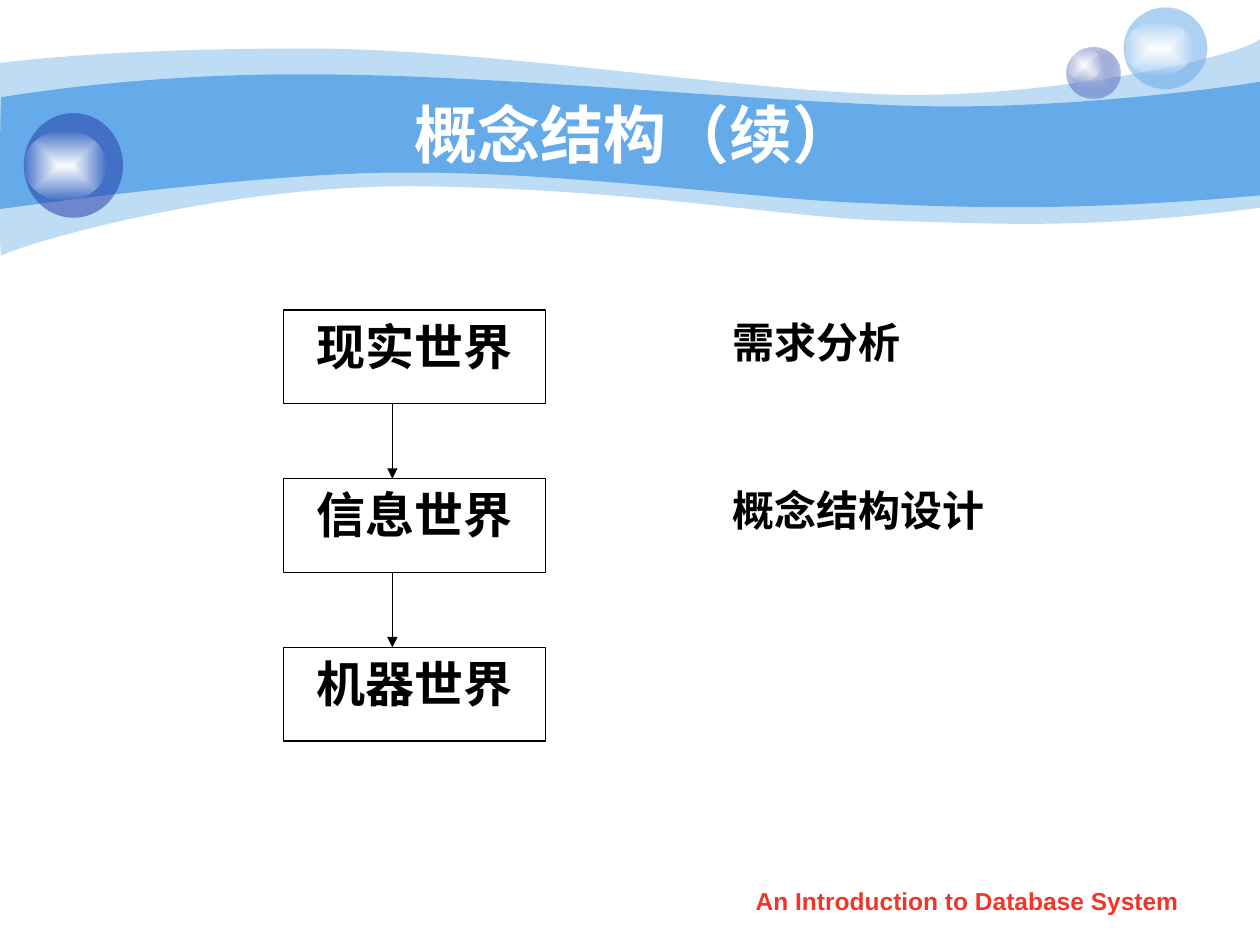
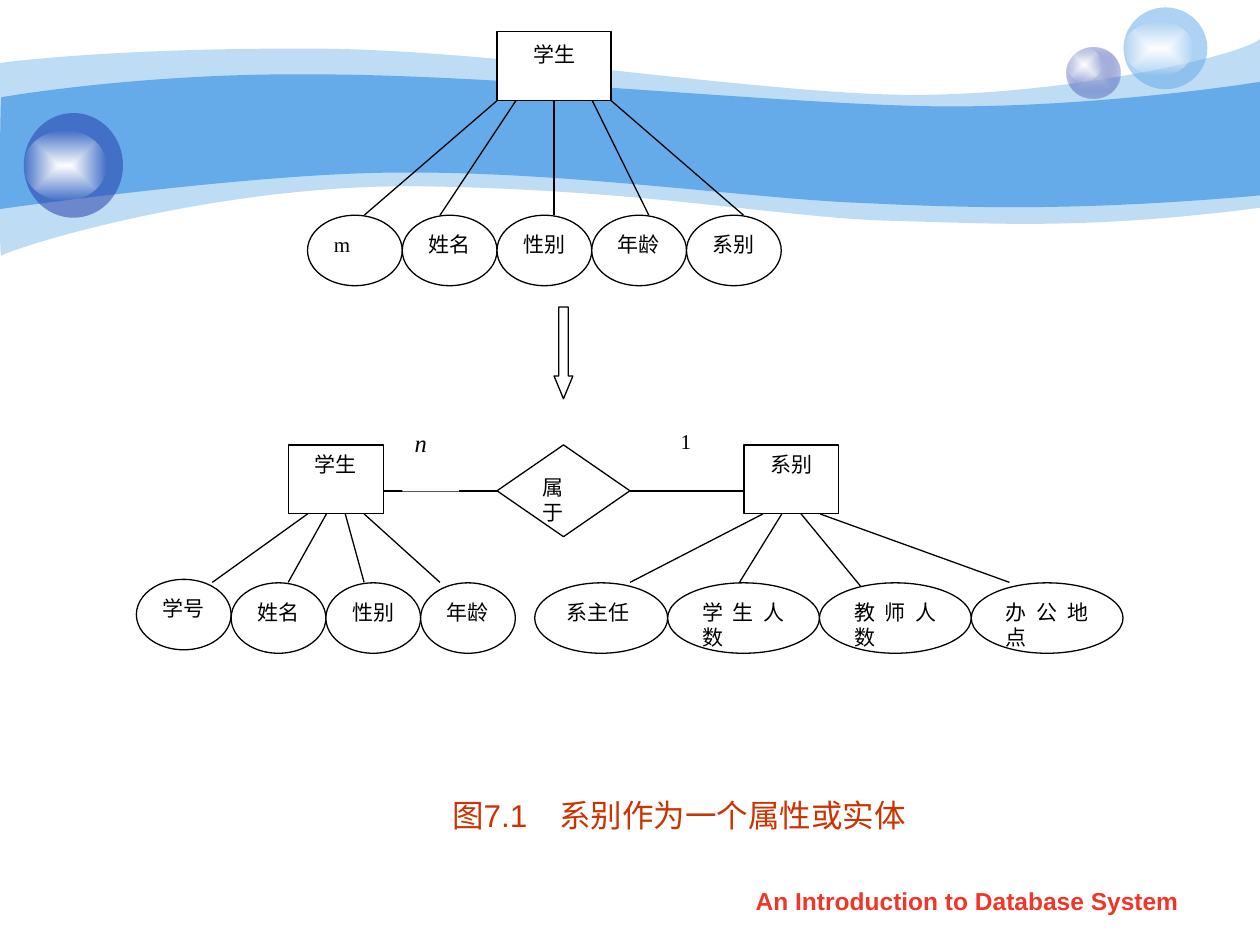
from lxml import etree
from pptx import Presentation
from pptx.dml.color import RGBColor
from pptx.enum.shapes import MSO_CONNECTOR, MSO_SHAPE
from pptx.enum.text import MSO_ANCHOR, MSO_AUTO_SIZE, PP_ALIGN
from pptx.oxml import parse_xml
from pptx.oxml.ns import nsdecls, qn
from pptx.util import Cm, Pt

STRAIGHT = MSO_CONNECTOR.STRAIGHT
RECT, OVAL = MSO_SHAPE.RECTANGLE, MSO_SHAPE.OVAL
DIAMOND, DOWN_ARROW = MSO_SHAPE.DIAMOND, MSO_SHAPE.DOWN_ARROW
TOP, MIDDLE = MSO_ANCHOR.TOP, MSO_ANCHOR.MIDDLE
CENTER, JUSTIFY = PP_ALIGN.CENTER, PP_ALIGN.JUSTIFY

SANS, SERIF = "Arial", "Times New Roman"
BLACK, WHITE, SKY, NAVY = "000000", "FFFFFF", "65AAE9", "233DA9"
RED, RUST, LILAC = "F03628", "CC3300", "C7CEE9"

# ---- Content; all places are in cm: left, top, width, height ----
FOOTER = "An Introduction to Database System"
TITLE = "概念结构（续）"
WORLDS = ["现实世界", "信息世界", "机器世界"]
STAGES = [("需求分析", 4.85), ("概念结构设计", 7.5)]
CAPTION = "图7.1　系别作为一个属性或实体"

# Each entity: box, attribute row (label, width), links (from x, to x, to y)
ENTITIES = [
    {"label": "学生", "box": (10.02, 0.63, 2.3, 1.4), "text_top": 0.21,
     "row": (6.2, 4.34), "first_lift": 0,
     "attributes": [("m", 1.91), ("姓名", 1.91), ("性别", 1.91),
                    ("年龄", 1.91), ("系别", 1.91)],
     "links": [(10.02, 7.34, 4.34), (10.4, 8.87, 4.34), (11.17, 11.17, 4.34),
               (11.94, 13.08, 4.34), (12.32, 14.99, 4.34)]},
    {"label": "学生", "box": (5.81, 8.97, 1.92, 1.39), "text_top": 0.13,
     "row": (2.75, 11.75), "first_lift": 0.07,
     "attributes": [("学号", 1.91), ("姓名", 1.91), ("性别", 1.91),
                    ("年龄", 1.91)],
     "links": [(6.2, 4.28, 11.74), (6.58, 5.81, 11.74),
               (6.96, 7.34, 11.74), (7.34, 8.87, 11.74)]},
    {"label": "系别", "box": (15, 8.97, 1.91, 1.39), "text_top": 0.13,
     "row": (10.78, 11.75), "first_lift": 0,
     "attributes": [("系主任", 2.68), ("学生人数", 3.06), ("教师人数", 3.06),
                    ("办公地点", 3.06)],
     "links": [(15.38, 12.7, 11.74), (15.76, 14.61, 12.22),
               (16.15, 17.68, 12.22), (16.53, 20.35, 11.74)]},
]
ATTRIBUTE_HEIGHT = 1.42
RELATION = ("属于", (10.02, 8.97, 2.68, 1.85))
RELATION_Y = 9.9
# Cardinality: label, box, size, italic, line from x, line to x
MANY = ("n", (8.11, 8.51, 1.14, 1.4), 14, True, 7.73, 10.02)
ONE = ("1", (13.47, 8.51, 1.14, 1.85), 12, False, 12.7, 15)

# Wave bands: opacity, then corner points (2 numbers) and curves (6 numbers)
WAVES = [
    (41, [(0, 1.27), (0.61, 1.19, 2.72, 0.97, 6.27, 0.98),
          (9.8, 0.99, 14.6, 1.78, 17.75, 1.9),
          (20.88, 2.03, 24.89, 1.19, 25.4, 0.79), (25.4, 4.19),
          (21.79, 4.65, 19.99, 4.5, 17.91, 4.45),
          (15.8, 4.39, 13.08, 3.84, 8.71, 3.76),
          (4.37, 3.66, 0.1, 5.05, 0.03, 5.16),
          (-0.03, 5.28, 0, 1.9, 0, 1.27)]),
    (100, [(0.03, 1.96), (0.05, 1.96, 2.79, 1.47, 6.3, 1.5),
           (9.8, 1.5, 15.11, 2.03, 18.24, 2.13),
           (21.36, 2.24, 24.79, 1.75, 25.4, 1.65), (25.4, 3.94),
           (21.67, 4.27, 19.43, 4.19, 17.32, 4.09),
           (15.21, 4.01, 11.35, 3.45, 8.05, 3.48),
           (5.16, 3.48, -0.05, 4.22, -0.03, 4.22),
           (0, 4.22, 0, 1.96, 0.03, 1.96)]),
]
# Orbs: box, then the glow colours (colour, opacity) from centre to rim
GLOSS = [(WHITE, 100), (WHITE, 0)]
ORBS = [
    ((21.5, 0.95, 1.08, 1.04), [(LILAC, 100), (NAVY, 31)]),
    ((21.5, 0.95, 0.71, 0.69), GLOSS),
    ((22.65, 0.15, 1.69, 1.65), [(SKY, 53)]),
    ((22.65, 0.43, 1.41, 1.09), GLOSS),
    ((0.48, 2.28, 2, 2.11), [(NAVY, 53)]),
    ((0.48, 2.63, 1.67, 1.42), GLOSS),
]


# ---- Helpers ----
def rgb(color):
    return RGBColor.from_string(color)


def cms(values):
    return [Cm(value) for value in values]


def paint(shape, color, opacity=100):
    shape.fill.solid()
    shape.fill.fore_color.rgb = rgb(color)
    if opacity < 100:
        srgb = shape.element.spPr.find(qn("a:solidFill")).find(qn("a:srgbClr"))
        etree.SubElement(srgb, qn("a:alpha")).set("val", str(opacity * 1000))


def paint_glow(shape, center, rim):
    stops = "".join(
        f'<a:gs pos="{pos}"><a:srgbClr val="{color}">'
        f'<a:alpha val="{opacity * 1000}"/></a:srgbClr></a:gs>'
        for pos, (color, opacity) in ((0, center), (100000, rim)))
    glow = parse_xml(
        f'<a:gradFill {nsdecls("a")} rotWithShape="1"><a:gsLst>{stops}</a:gsLst>'
        '<a:path path="rect"><a:fillToRect l="50000" t="50000" r="50000" '
        'b="50000"/></a:path></a:gradFill>')
    shape.element.spPr.find(qn("a:prstGeom")).addnext(glow)


def write(shape, text, size, color=BLACK, font=SERIF, bold=False, italic=False,
          align=CENTER, anchor=TOP):
    frame = shape.text_frame
    frame.text = text
    frame.word_wrap = True
    frame.auto_size = MSO_AUTO_SIZE.NONE
    frame.vertical_anchor = anchor
    paragraph = frame.paragraphs[0]
    paragraph.alignment = align
    style = paragraph.runs[0].font
    style.name, style.size, style.color.rgb = font, Pt(size), rgb(color)
    style.bold, style.italic = bold, italic
    return paragraph


def place(shape, box):
    shape.left, shape.top, shape.width, shape.height = cms(box)


def add_node(slide, kind, box, fill=WHITE, outlined=True):
    node = slide.shapes.add_shape(kind, *cms(box))
    node.shadow.inherit = False
    if fill:
        paint(node, fill)
    else:
        node.fill.background()
    if outlined:
        node.line.color.rgb = rgb(BLACK)
        node.line.width = Pt(0.75)
    else:
        node.line.fill.background()
    return node


def add_link(slide, x1, y1, x2, y2, arrow=False):
    link = slide.shapes.add_connector(STRAIGHT, *cms((x1, y1, x2, y2)))
    link.line.color.rgb = rgb(BLACK)
    link.line.width = Pt(0.75)
    if arrow:
        etree.SubElement(link.element.spPr.find(qn("a:ln")), qn("a:tailEnd")).set(
            "type", "triangle")
    etree.SubElement(link.element.spPr, qn("a:effectLst"))


def add_wave(slide, steps, opacity):
    """Build the control polygon, then join each curve's three lines into one."""
    start, *rest = [cms(step[i:i + 2]) for step in steps
                    for i in range(0, len(step), 2)]
    builder = slide.shapes.build_freeform(*start, scale=1.0)
    builder.add_line_segments(rest, close=True)
    wave = builder.convert_to_shape()
    lines = iter(list(wave.element.spPr.iter(qn("a:lnTo"))))
    for step in steps[1:]:
        first = next(lines)
        if len(step) == 6:
            curve = etree.Element(qn("a:cubicBezTo"))
            first.addprevious(curve)
            for line in (first, next(lines), next(lines)):
                curve.append(line[0])
                line.getparent().remove(line)
    wave.shadow.inherit = False
    wave.line.fill.background()
    paint(wave, SKY, opacity)
    return wave


# ---- Shared parts ----
def add_backdrop(slide):
    """Draw the waves and orbs, then hand them to the slide master."""
    parts = [add_wave(slide, steps, opacity) for opacity, steps in WAVES]
    for box, colors in ORBS:
        orb = add_node(slide, OVAL, box, fill=None, outlined=False)
        if len(colors) == 1:
            paint(orb, *colors[0])
        else:
            orb.element.spPr.remove(orb.element.spPr.find(qn("a:noFill")))
            paint_glow(orb, *colors)
        parts.append(orb)
    master_tree = slide.slide_layout.slide_master.element.cSld.spTree
    for part in parts:
        master_tree.append(part.element)


def add_footer(slide):
    footer = slide.shapes.add_textbox(*cms((14.5, 17.73, 10, 0.89)))
    write(footer, FOOTER, 14, RED, SANS, bold=True)


# ---- Slides ----
def build_worlds(slide):
    place(slide.shapes.title, (2.54, 1.9, 20.52, 1.57))
    write(slide.shapes.title, TITLE, 36, WHITE, SANS, bold=True, anchor=MIDDLE)
    left, top, width, height, step = 5.71, 6.25, 5.29, 1.89, 3.4
    for i, world in enumerate(WORLDS):
        y = top + i * step
        box = add_node(slide, RECT, (left, y, width, height), fill=None)
        write(box, world, 28, bold=True)
        if i:
            add_link(slide, 7.91, y - step + height, 7.91, y, arrow=True)
    for i, (stage, stage_width) in enumerate(STAGES):
        note = slide.shapes.add_textbox(
            *cms((14.52, top + i * step, stage_width, 1.5)))
        write(note, stage, 24, bold=True, align=JUSTIFY)
    add_footer(slide)


def add_entity(slide, entity):
    left, top, width, height = entity["box"]
    for x1, x2, y2 in entity["links"]:
        add_link(slide, x1, top + height, x2, y2)
    box = add_node(slide, RECT, entity["box"])
    write(box, entity["label"], 12)
    box.text_frame.margin_top = Cm(entity["text_top"])
    x, y = entity["row"]
    for i, (label, oval_width) in enumerate(entity["attributes"]):
        lift = 0 if i else entity["first_lift"]
        oval = add_node(slide, OVAL, (x, y - lift, oval_width, ATTRIBUTE_HEIGHT))
        write(oval, label, 12, align=JUSTIFY)
        x += oval_width


def add_cardinality(slide, label, box, size, italic):
    mark = add_node(slide, RECT, box, outlined=False)
    write(mark, label, size, italic=italic, align=JUSTIFY)


def build_relation(slide):
    title = slide.shapes.title.element
    title.getparent().remove(title)
    caption = slide.placeholders[1]
    place(caption, (2.89, 15.92, 21.59, 1.14))
    paragraph = write(caption, CAPTION, 18, RUST, SANS)
    paragraph.space_before = Pt(4.5)
    properties = paragraph._p.get_or_add_pPr()
    properties.set("marL", "0")
    properties.set("indent", "0")
    etree.SubElement(properties, qn("a:buNone"))

    # The mark "n" lies over its line, the mark "1" under its line
    *many, x1, x2 = MANY
    add_link(slide, x1, RELATION_Y, x2, RELATION_Y)
    add_cardinality(slide, *many)
    *one, x1, x2 = ONE
    add_cardinality(slide, *one)
    add_link(slide, x1, RELATION_Y, x2, RELATION_Y)

    for entity in ENTITIES:
        add_entity(slide, entity)
    label, box = RELATION
    write(add_node(slide, DIAMOND, box), label, 12, align=JUSTIFY)
    arrow = add_node(slide, DOWN_ARROW, (11.17, 6.19, 0.38, 1.85))
    arrow.adjustments[0], arrow.adjustments[1] = 0.5, 1.21
    add_footer(slide)


def main():
    prs = Presentation()
    prs.slide_width, prs.slide_height = Cm(25.4), Cm(19.05)
    worlds = prs.slides.add_slide(prs.slide_layouts[5])
    relation = prs.slides.add_slide(prs.slide_layouts[1])
    add_backdrop(worlds)
    build_worlds(worlds)
    build_relation(relation)
    prs.save("out.pptx")


if __name__ == "__main__":
    main()
